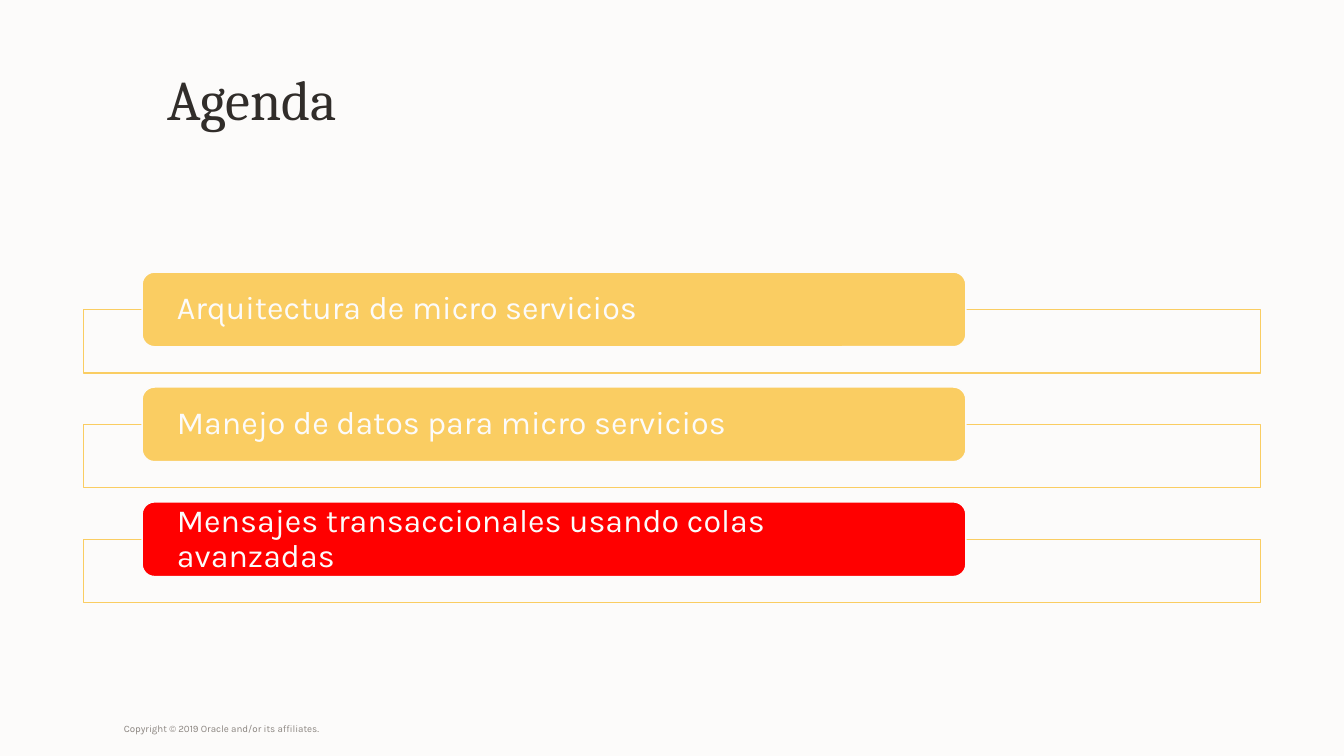
from dataclasses import dataclass

from lxml import etree
from pptx import Presentation
from pptx import util as u
from pptx.dml.color import RGBColor
from pptx.enum import shapes, text
from pptx.oxml.ns import qn

PX = 9144  # 100 px to the inch
PAPER, GOLD, RED = "FCFBFA", "FACD62", "FF0000"
TOP, STEP = 270, 114


@dataclass
class Topic:
    label: str
    fill: str


TOPICS = [
    Topic("Arquitectura de micro servicios", GOLD),
    Topic("Manejo de datos para micro servicios", GOLD),
    Topic("Mensajes transaccionales usando colas avanzadas", RED),
]


def px(n: int) -> u.Emu:
    return u.Emu(n * PX)


def rgb(code: str) -> RGBColor:
    return RGBColor.from_string(code)


def place(shape, x: int, y: int, w: int, h: int) -> None:
    shape.left, shape.top, shape.width, shape.height = map(px, (x, y, w, h))


def write(shape, words: str, size: int, face: str, color: str,
          pad: int = 0, lead: float = 1.0) -> None:
    """Fill the shape with one left-aligned, vertically centred line of text."""
    frame = shape.text_frame
    frame.auto_size = text.MSO_AUTO_SIZE.NONE
    frame.word_wrap = True
    frame.vertical_anchor = text.MSO_ANCHOR.MIDDLE
    frame.margin_left = frame.margin_right = px(pad)
    frame.margin_top = frame.margin_bottom = 0
    para = frame.paragraphs[0]
    para.alignment = text.PP_ALIGN.LEFT
    para.line_spacing = lead
    run = para.add_run()
    run.text = words
    run.font.size = u.Pt(size)
    run.font.name = face
    run.font.color.rgb = rgb(color)


def block(slide, kind: shapes.MSO_SHAPE, x: int, y: int, w: int, h: int,
          fill: str, line: str):
    shape = slide.shapes.add_shape(kind, *map(px, (x, y, w, h)))
    shape.shadow.inherit = False
    shape.fill.solid()
    shape.fill.fore_color.rgb = rgb(fill)
    shape.line.color.rgb = rgb(line)
    shape.line.width = u.Pt(1)
    return shape


def fade(shape, share: int) -> None:
    """Set the opacity of a solid fill, in percent."""
    tint = shape.fill._xPr.find(qn("a:solidFill"))[0]
    etree.SubElement(tint, qn("a:alpha")).set("val", str(share * 1000))


def draw(slide, topic: Topic, y: int) -> None:
    frame = block(slide, shapes.MSO_SHAPE.RECTANGLE,
                  83, y + 37, 1167, 63, PAPER, GOLD)
    fade(frame, 90)
    pill = block(slide, shapes.MSO_SHAPE.ROUNDED_RECTANGLE,
                 141, y, 817, 74, topic.fill, PAPER)
    # The preset's text area is already inset by its rounded corners.
    write(pill, topic.label, 23, "Karla", PAPER, pad=31, lead=0.9)


def main() -> None:
    deck = Presentation()
    deck.slide_width, deck.slide_height = px(1333), px(750)
    slide = deck.slides.add_slide(deck.slide_layouts[5])
    slide.background.fill.solid()
    slide.background.fill.fore_color.rgb = rgb(PAPER)

    title = slide.shapes.title
    place(title, 166, 56, 1167, 90)
    write(title, "Agenda", 40, "Cambria", "312D2A", lead=0.95)

    for i, topic in enumerate(TOPICS):
        draw(slide, topic, TOP + i * STEP)

    note = slide.shapes.add_textbox(*map(px, (123, 703, 1066, 40)))
    write(note, "Copyright © 2019 Oracle and/or its affiliates.",
          7, "Karla", "8B8580")
    note.text_frame.paragraphs[0].space_after = u.Pt(6)
    deck.save("out.pptx")


if __name__ == "__main__":
    main()
